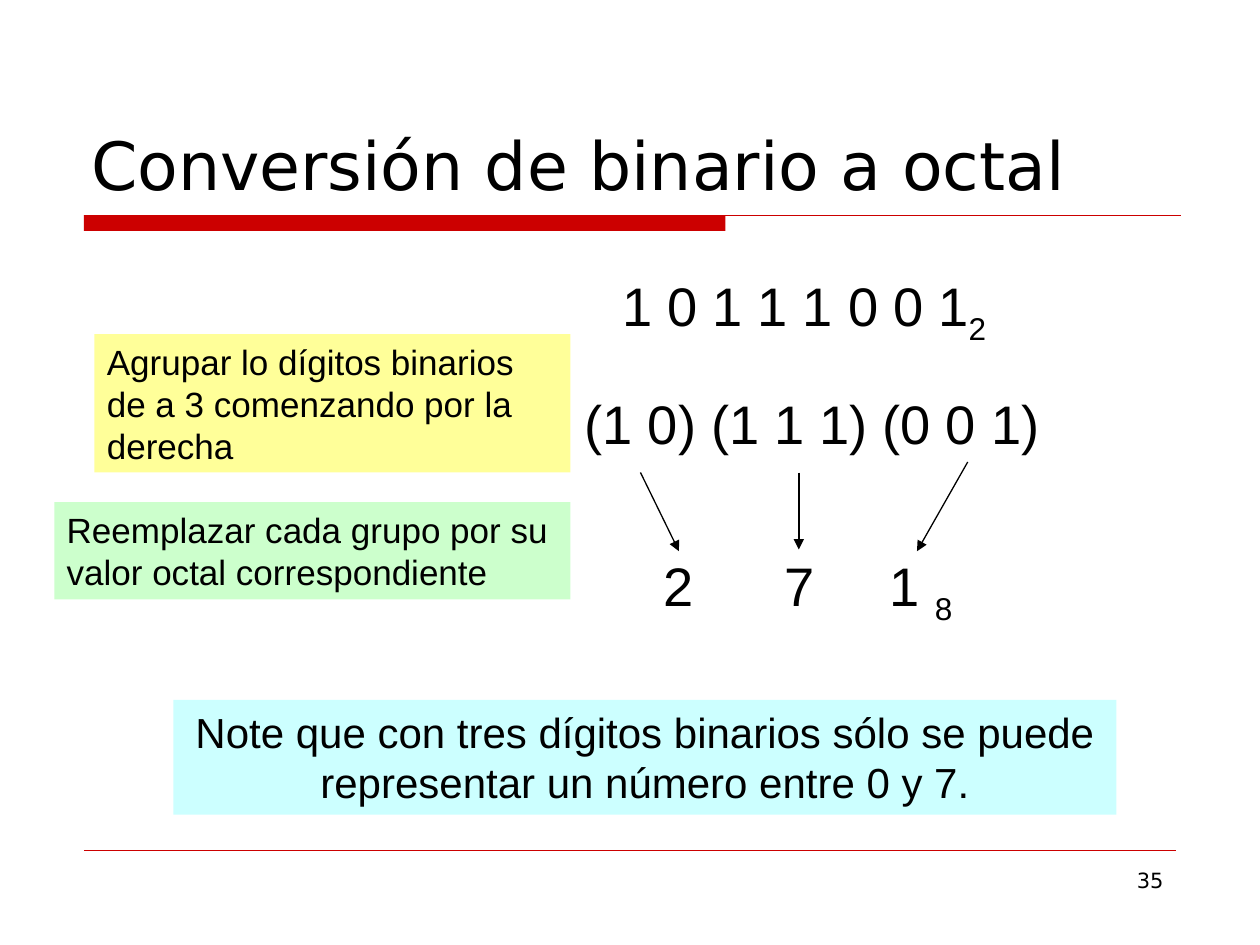
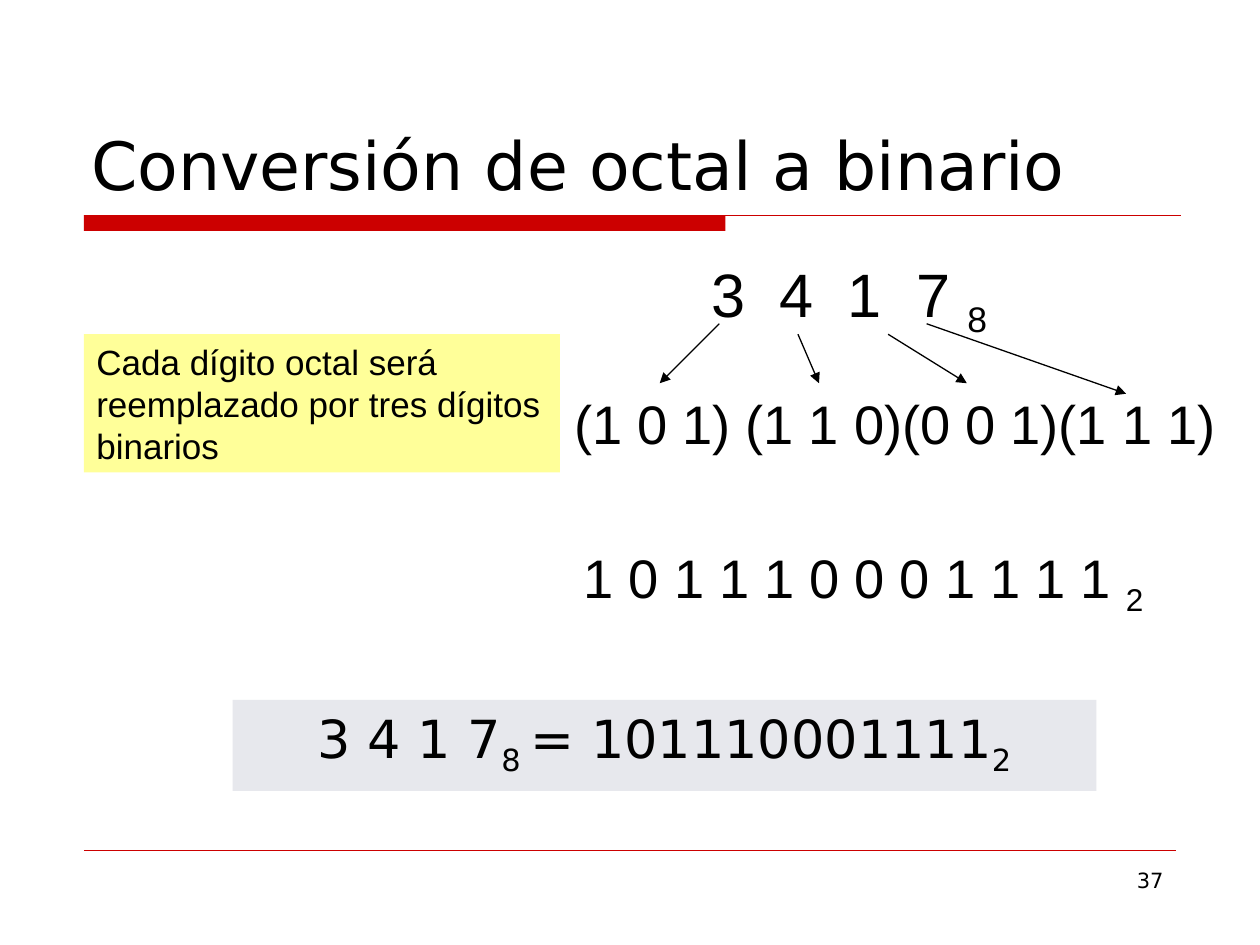
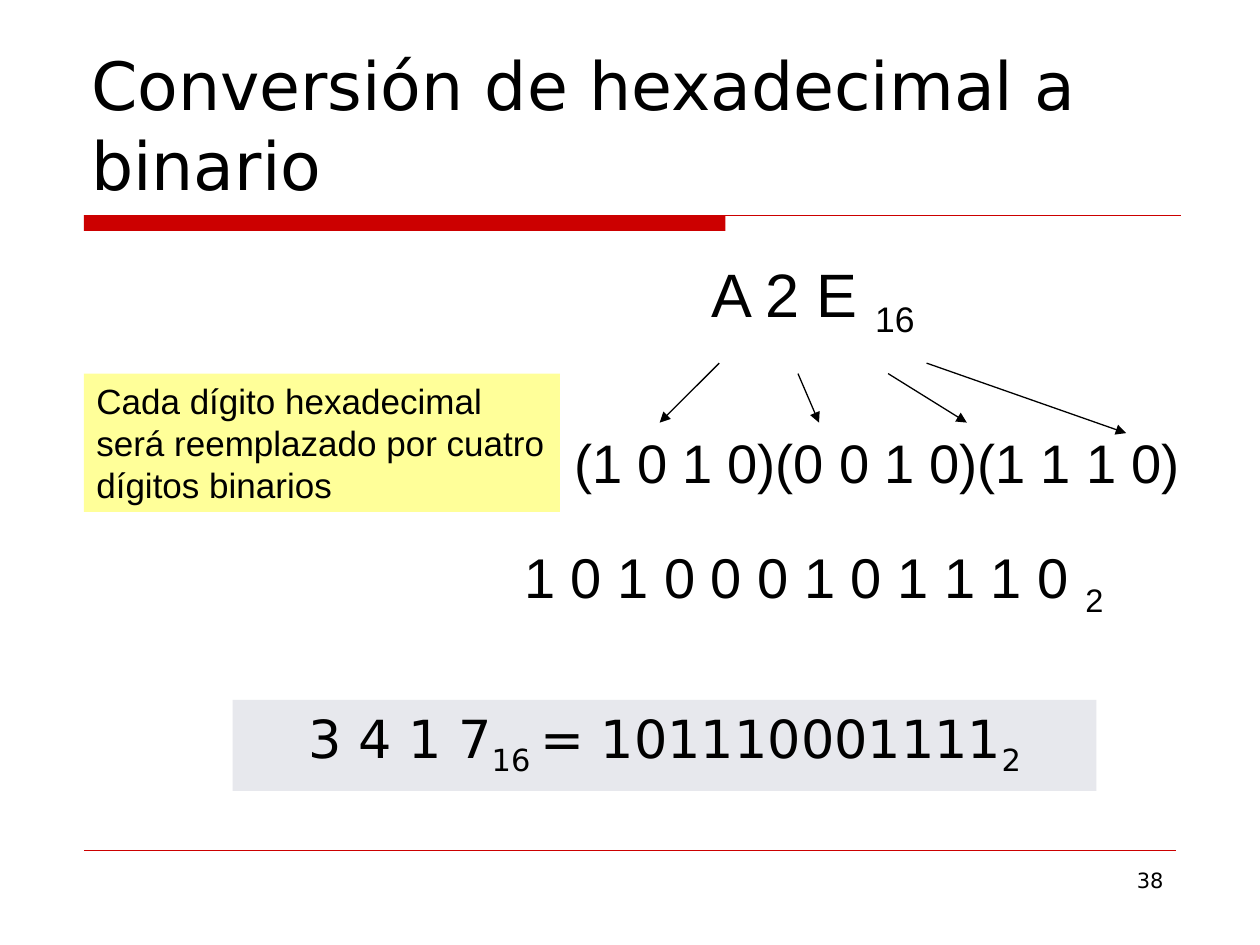
from lxml.etree import SubElement
from pptx import Presentation
from pptx.dml.color import RGBColor
from pptx.enum.shapes import MSO_CONNECTOR, MSO_SHAPE
from pptx.enum.text import MSO_ANCHOR, PP_ALIGN
from pptx.oxml.ns import qn
from pptx.util import Pt

BLACK, RED = "000000", "CC0000"
YELLOW, GREEN, CYAN, GREY = "FFFF99", "CCFFCC", "CCFFFF", "E7E8ED"
SANS, HEADING = "Arial", "DejaVu Sans"


def color(value):
    """Turn a hex string into a colour."""
    return RGBColor.from_string(value)


def write(sp, runs, size, font=SANS, align=PP_ALIGN.LEFT, anchor=MSO_ANCHOR.TOP, tabs=()):
    """Fill a shape with one paragraph; each run is (text, is_subscript)."""
    tf = sp.text_frame
    tf.word_wrap = True
    tf.vertical_anchor = anchor
    p = tf.paragraphs[0]
    p.alignment = align
    if tabs:
        stops = SubElement(p._p.get_or_add_pPr(), qn("a:tabLst"))
        for pos in tabs:
            SubElement(stops, qn("a:tab"), pos=str(Pt(pos)), algn="l")
    for text, subscript in runs:
        r = p.add_run()
        r.text = text
        r.font.size = Pt(size)
        r.font.name = font
        r.font.color.rgb = color(BLACK)
        if subscript:
            r._r.get_or_add_rPr().set("baseline", "-25000")


def add_text(s, box, runs, size, **style):
    """Add a text box at box (left, top, width, height)."""
    write(s.shapes.add_textbox(*map(Pt, box)), runs, size, **style)


def add_digits(s, box, runs, size=31, tabs=()):
    """Add a row of digits, centred vertically in its box."""
    add_text(s, box, runs, size, anchor=MSO_ANCHOR.MIDDLE, tabs=tabs)


def add_panel(s, box, fill):
    """Add a plain filled rectangle."""
    sp = s.shapes.add_shape(MSO_SHAPE.RECTANGLE, *map(Pt, box))
    sp.shadow.inherit = False
    sp.fill.solid()
    sp.fill.fore_color.rgb = color(fill)
    sp.line.fill.background()
    return sp


def add_line(s, ends, line_color=BLACK, width=0.75, arrow=False):
    """Add a straight line through ends (x1, y1, x2, y2)."""
    cx = s.shapes.add_connector(MSO_CONNECTOR.STRAIGHT, *map(Pt, ends))
    cx.line.color.rgb = color(line_color)
    cx.line.width = Pt(width)
    if arrow:
        SubElement(cx.line._get_or_add_ln(), qn("a:tailEnd"), type="triangle")
    SubElement(cx._element.spPr, qn("a:effectLst"))


def add_arrows(s, left, top, arrows):
    """Draw arrows given relative to a corner."""
    for x1, y1, x2, y2 in arrows:
        add_line(s, (left + x1, top + y1, left + x2, top + y2), arrow=True)


def add_frame(prs, title, number):
    """Add a slide with its title, red rules and page number."""
    s = prs.slides.add_slide(prs.slide_layouts[6])
    left, top = 48, 123
    add_panel(s, (left, top, 366.5, 9), RED)
    add_line(s, (left, top, 674.6, top), RED)
    add_line(s, (left, 486, 672, 486), RED, 0.25)
    add_text(s, (516, 492, 156, 37), [(str(number), False)], 12, font=HEADING,
             align=PP_ALIGN.RIGHT)
    add_text(s, (45, 24, 630, 96), [(title, False)], 38, font=HEADING,
             anchor=MSO_ANCHOR.BOTTOM)
    return s


def add_grouping(s, left, top):
    """Explain the grouping of binary digits beside the groups."""
    sp = add_panel(s, (left, top, 272, 79), YELLOW)
    write(sp, [("Agrupar lo dígitos binarios de a 3 comenzando por la derecha", False)], 20)
    add_digits(s, (left + 273, top + 28, 285, 45), [("(1 0) (1 1 1) (0 0 1)", False)])


def add_replacement(s, left, top):
    """Explain the replacement and point from the groups to octal digits."""
    sp = add_panel(s, (left, top, 295, 55.5), GREEN)
    write(sp, [("Reemplazar cada grupo por su valor octal correspondiente", False)], 20)
    add_arrows(s, left, top, [(335, -17, 357, 28), (425.5, -17, 425.5, 27),
                              (522, -23, 493, 28)])
    add_digits(s, (left + 341, top + 25, 195, 50), [("2\t7\t1 ", False), ("8", True)],
               tabs=(69, 129.25))


def add_note(s, box):
    """Add the centred closing note."""
    sp = add_panel(s, box, CYAN)
    text = "Note que con tres dígitos binarios sólo se puede representar un número entre 0 y 7."
    write(sp, [(text, False)], 24, align=PP_ALIGN.CENTER)


def add_expansion(s, left, top, rule, groups):
    """Explain how each digit expands, with arrows to the binary groups."""
    write(add_panel(s, (left, top, 272, 79), YELLOW), [(rule, False)], 20)
    add_digits(s, (left + 273, top + 28, 390, 45), [(groups, False)])
    add_arrows(s, left, top, [(363, -6, 329, 28), (408, 0, 420, 28),
                              (459.5, 0, 504.5, 28), (481.5, -6, 595.5, 34)])


def add_equality(s, box, base):
    """State the closing equality for the given base."""
    runs = [("3 4 1 7", False), (f"{base} ", True), ("= 101110001111", False), ("2", True)]
    write(add_panel(s, box, GREY), runs, 30, font=HEADING, align=PP_ALIGN.CENTER)


def binary_to_octal(prs):
    """Build the binary to octal slide."""
    s = add_frame(prs, "Conversión de binario a octal", 35)
    add_digits(s, (348.5, 152, 232.5, 50), [("1 0 1 1 1 0 0 1", False), ("2", True)])
    add_grouping(s, 54, 191)
    add_replacement(s, 31, 287)
    add_note(s, (99, 400, 539, 65.5))


def to_binary(prs, title, number, base, digits, rule, groups, rule_top, result,
              result_left, result_size=31):
    """Build a slide that converts digits of a base to binary."""
    s = add_frame(prs, title, number)
    add_digits(s, (399.5, 142.5, 232.5, 55.5), [(f"{digits} ", False), (str(base), True)],
               35, tabs=[39 * i for i in range(1, 4)] if "\t" in digits else ())
    add_expansion(s, 48, rule_top, rule, groups)
    add_digits(s, (result_left, 307, 374, 50), [(f"{result} ", False), ("2", True)],
               result_size)
    add_equality(s, (133, 400, 493.5, 52), base)


def main():
    """Build and save the presentation."""
    prs = Presentation()
    prs.slide_width, prs.slide_height = Pt(720), Pt(540)
    binary_to_octal(prs)
    to_binary(prs, "Conversión de octal a binario", 37, 8, "3\t4\t1\t7",
              "Cada dígito octal será reemplazado por tres dígitos binarios",
              "(1 0 1) (1 1 0)(0 0 1)(1 1 1)", 191,
              "1 0 1 1 1 0 0 0 1 1 1 1", 326.5)
    to_binary(prs, "Conversión de hexadecimal a binario", 38, 16, "A 2 E",
              "Cada dígito hexadecimal será reemplazado por cuatro dígitos binarios",
              "(1 0 1 0)(0 0 1 0)(1 1 1 0)", 213.5,
              "1 0 1 0 0 0 1 0 1 1 1 0", 292.5, 32)
    prs.save("out.pptx")


if __name__ == "__main__":
    main()
